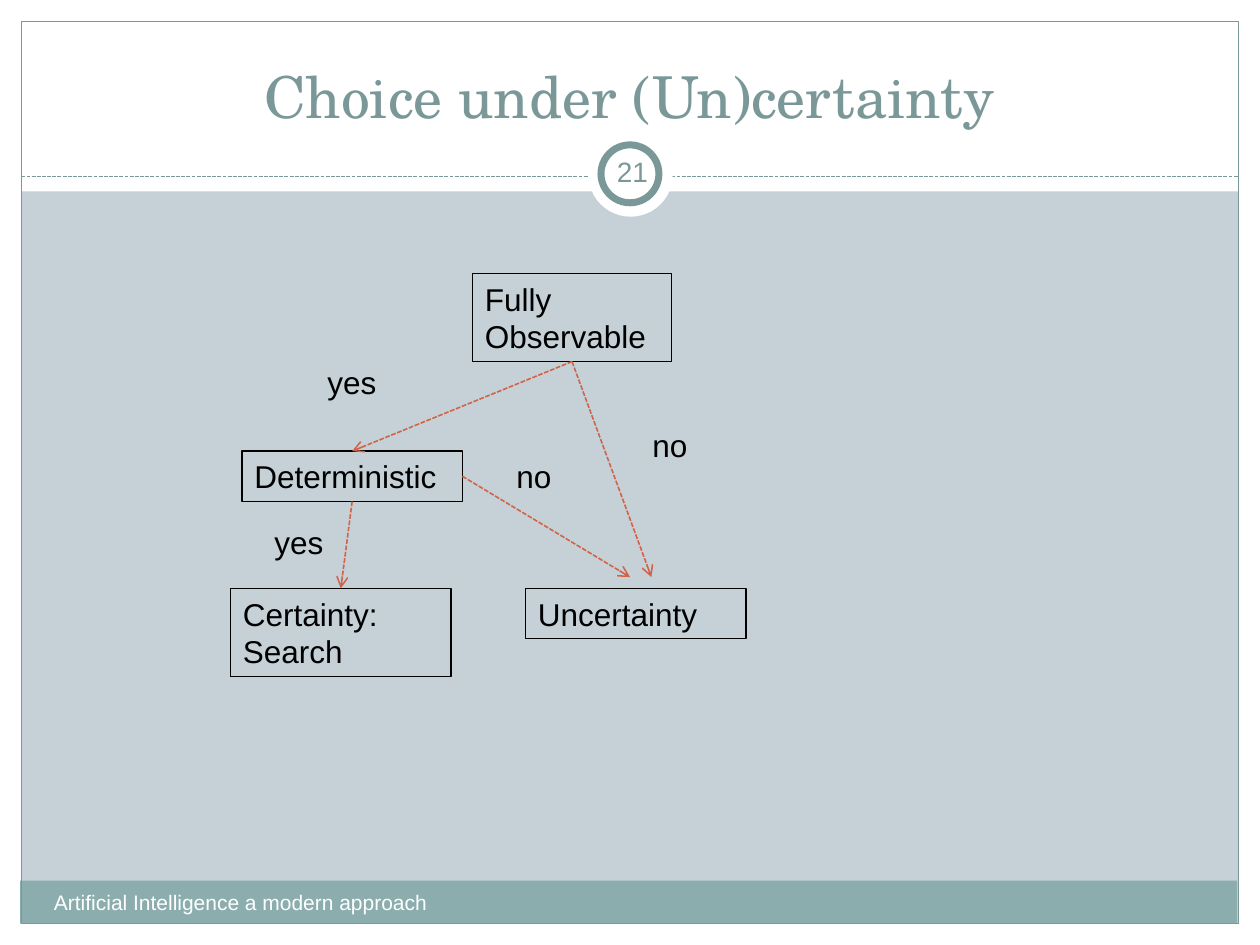
from dataclasses import dataclass
from typing import NamedTuple, Optional

from lxml.etree import SubElement
from pptx import Presentation
from pptx.dml.color import RGBColor
from pptx.enum.dml import MSO_LINE
from pptx.enum.shapes import MSO_CONNECTOR, MSO_SHAPE
from pptx.enum.text import MSO_ANCHOR, PP_ALIGN
from pptx.oxml.ns import qn
from pptx.util import Inches, Pt


@dataclass(frozen=True)
class Theme:
    """Colours, fonts and sizes of the slide."""
    background: str = "C5D1D7"
    white: str = "FFFFFF"
    band: str = "8CADAE"
    accent: str = "7B9899"
    arrow: str = "D16349"
    black: str = "000000"
    title_font: str = "TeX Gyre Schola"
    body_font: str = "Arial"
    title_size: float = 33
    body_size: float = 18
    number_size: float = 16
    footer_size: float = 12
    thin: float = 0.74
    arrow_width: float = 0.91
    ring_width: float = 4


class Area(NamedTuple):
    """Left, top, width and height in inches."""
    left: float
    top: float
    width: float
    height: float


class Panel(NamedTuple):
    """One part of the slide frame."""
    area: Area
    fill: Optional[str] = None
    line: Optional[str] = None
    line_width: float = 0.74
    kind: MSO_SHAPE = MSO_SHAPE.RECTANGLE


class Label(NamedTuple):
    """Text placed in an area."""
    text: str
    area: Area


class Arrow(NamedTuple):
    """An arrow from a node's site to another node's top, or to a point."""
    source: str
    site: int
    target: Optional[str] = None
    point: tuple[float, float] = (0, 0)


THEME = Theme()
BOTTOM, RIGHT, TOP = 2, 3, 0

PANELS = [
    Panel(Area(0, 7.33, 10, 0.17), THEME.white),
    Panel(Area(0, 0, 10, 1.52), THEME.white),
    Panel(Area(0, 0, 0.17, 7.5), THEME.white),
    Panel(Area(9.83, 0, 0.17, 7.5), THEME.white),
    Panel(Area(0.16, 6.99, 9.66, 0.34), THEME.band),
    Panel(Area(0.17, 0.17, 9.66, 7.16), line=THEME.accent),
]
BADGE = [
    Panel(Area(4.67, 1.05, 0.67, 0.67), THEME.white, kind=MSO_SHAPE.OVAL),
    Panel(Area(4.77, 1.15, 0.46, 0.46), THEME.white, THEME.accent,
          THEME.ring_width, MSO_SHAPE.OVAL),
]
NODES = [
    Label("Fully Observable", Area(3.75, 2.17, 1.58, 0.7)),
    Label("Deterministic", Area(1.92, 3.58, 1.75, 0.4)),
    Label("Certainty: Search", Area(1.83, 4.67, 1.75, 0.7)),
    Label("Uncertainty", Area(4.17, 4.67, 1.75, 0.4)),
]
ARROWS = [
    Arrow("Fully Observable", BOTTOM, "Deterministic"),
    Arrow("Deterministic", BOTTOM, "Certainty: Search"),
    Arrow("Deterministic", RIGHT, point=(5, 4.58)),
    Arrow("Fully Observable", BOTTOM, point=(5.17, 4.58)),
]
ANSWERS = [
    Label("no", Area(5.08, 3.33, 0.58, 0.4)),
    Label("yes", Area(2.5, 2.83, 0.92, 0.4)),
    Label("yes", Area(2.08, 4.1, 0.92, 0.4)),
    Label("no", Area(4, 3.58, 0.58, 0.4)),
]


def inches(area: Area) -> list:
    """Convert an area to lengths."""
    return [Inches(value) for value in area]


def write_text(shape, text: str, *, size: float = THEME.body_size,
               color: str = THEME.black, font: str = THEME.body_font,
               align=PP_ALIGN.LEFT, anchor=MSO_ANCHOR.TOP,
               side_margin: float = 0.1) -> None:
    """Put formatted text in a shape."""
    frame = shape.text_frame
    frame.word_wrap = True
    frame.vertical_anchor = anchor
    frame.margin_left = frame.margin_right = Inches(side_margin)
    frame.margin_top = frame.margin_bottom = Inches(0.05)
    paragraph = frame.paragraphs[0]
    paragraph.alignment = align
    run = paragraph.add_run()
    run.text = text
    run.font.size = Pt(size)
    run.font.name = font
    run.font.color.rgb = RGBColor.from_string(color)


def add_panel(slide, panel: Panel):
    """Draw a preset shape with optional fill and outline."""
    shape = slide.shapes.add_shape(panel.kind, *inches(panel.area))
    shape.shadow.inherit = False
    if panel.fill:
        shape.fill.solid()
        shape.fill.fore_color.rgb = RGBColor.from_string(panel.fill)
    else:
        shape.fill.background()
    if panel.line:
        shape.line.color.rgb = RGBColor.from_string(panel.line)
        shape.line.width = Pt(panel.line_width)
    else:
        shape.line.fill.background()
    return shape


def add_label(slide, label: Label, **text_format) -> None:
    """Draw a text box."""
    write_text(slide.shapes.add_textbox(*inches(label.area)), label.text, **text_format)


def add_dashed_line(slide, start: tuple, end: tuple, color: str, width: float):
    """Draw a dashed straight line without a shadow."""
    line = slide.shapes.add_connector(
        MSO_CONNECTOR.STRAIGHT, *(Inches(value) for value in (*start, *end)))
    line.line.color.rgb = RGBColor.from_string(color)
    line.line.width = Pt(width)
    line.line.dash_style = MSO_LINE.SQUARE_DOT
    SubElement(line.element.spPr, qn("a:effectLst"))
    return line


def add_arrow(slide, arrow: Arrow, nodes: dict) -> None:
    """Draw an arrow attached to its nodes."""
    line = add_dashed_line(slide, arrow.point, arrow.point, THEME.arrow, THEME.arrow_width)
    line.begin_connect(nodes[arrow.source], arrow.site)
    if arrow.target:
        line.end_connect(nodes[arrow.target], TOP)
    SubElement(line.get_or_add_ln(), qn("a:tailEnd"), type="arrow")


def add_title(slide, label: Label) -> None:
    """Place the title placeholder above the frame."""
    title = slide.shapes.title
    title.left, title.top, title.width, title.height = inches(label.area)
    write_text(title, label.text, size=THEME.title_size, color=THEME.accent,
               font=THEME.title_font, align=PP_ALIGN.CENTER, anchor=MSO_ANCHOR.BOTTOM)
    title.element.getparent().append(title.element)


def build() -> None:
    """Build and save the slide."""
    presentation = Presentation()
    presentation.slide_width, presentation.slide_height = Inches(10), Inches(7.5)
    slide = presentation.slides.add_slide(presentation.slide_layouts[5])
    slide.background.fill.solid()
    slide.background.fill.fore_color.rgb = RGBColor.from_string(THEME.background)

    for panel in PANELS:
        add_panel(slide, panel)
    add_dashed_line(slide, (0.17, 1.4), (9.83, 1.4), THEME.accent, THEME.thin)
    for panel in BADGE:
        add_panel(slide, panel)
    add_title(slide, Label("Choice under (Un)certainty", Area(0.33, 0.25, 9.33, 0.83)))
    add_label(slide, Label("Artificial Intelligence a modern approach",
                           Area(0.33, 7.01, 3.92, 0.4)),
              size=THEME.footer_size, color=THEME.white)
    add_label(slide, Label("21", Area(4.77, 1.12, 0.5, 0.48)), size=THEME.number_size,
              color=THEME.accent, align=PP_ALIGN.CENTER, anchor=MSO_ANCHOR.MIDDLE,
              side_margin=0.05)

    nodes = {}
    for node in NODES:
        nodes[node.text] = add_panel(slide, Panel(node.area, line=THEME.black))
        write_text(nodes[node.text], node.text)
    for arrow in ARROWS:
        add_arrow(slide, arrow, nodes)
    for answer in ANSWERS:
        add_label(slide, answer)
    presentation.save("out.pptx")


build()
